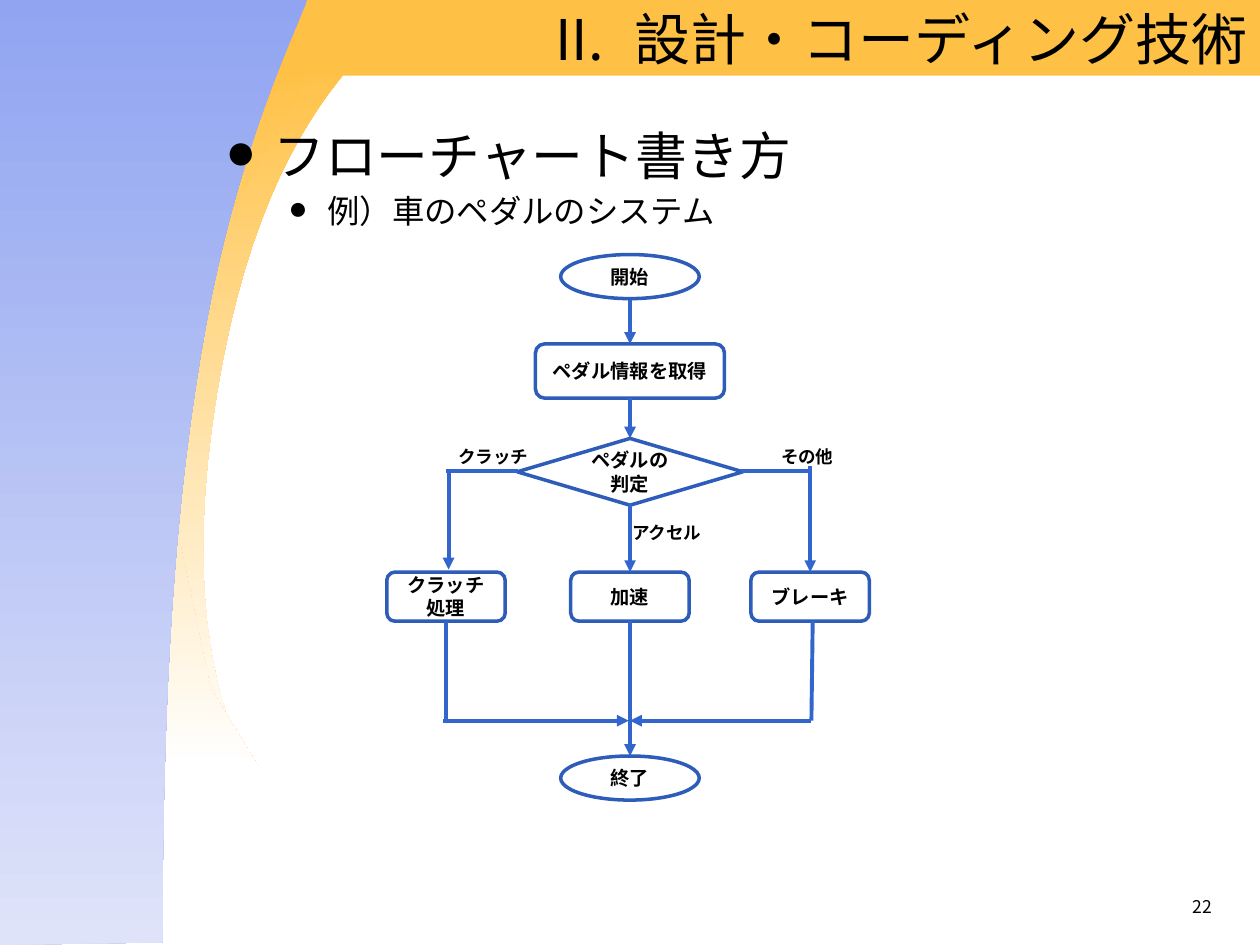
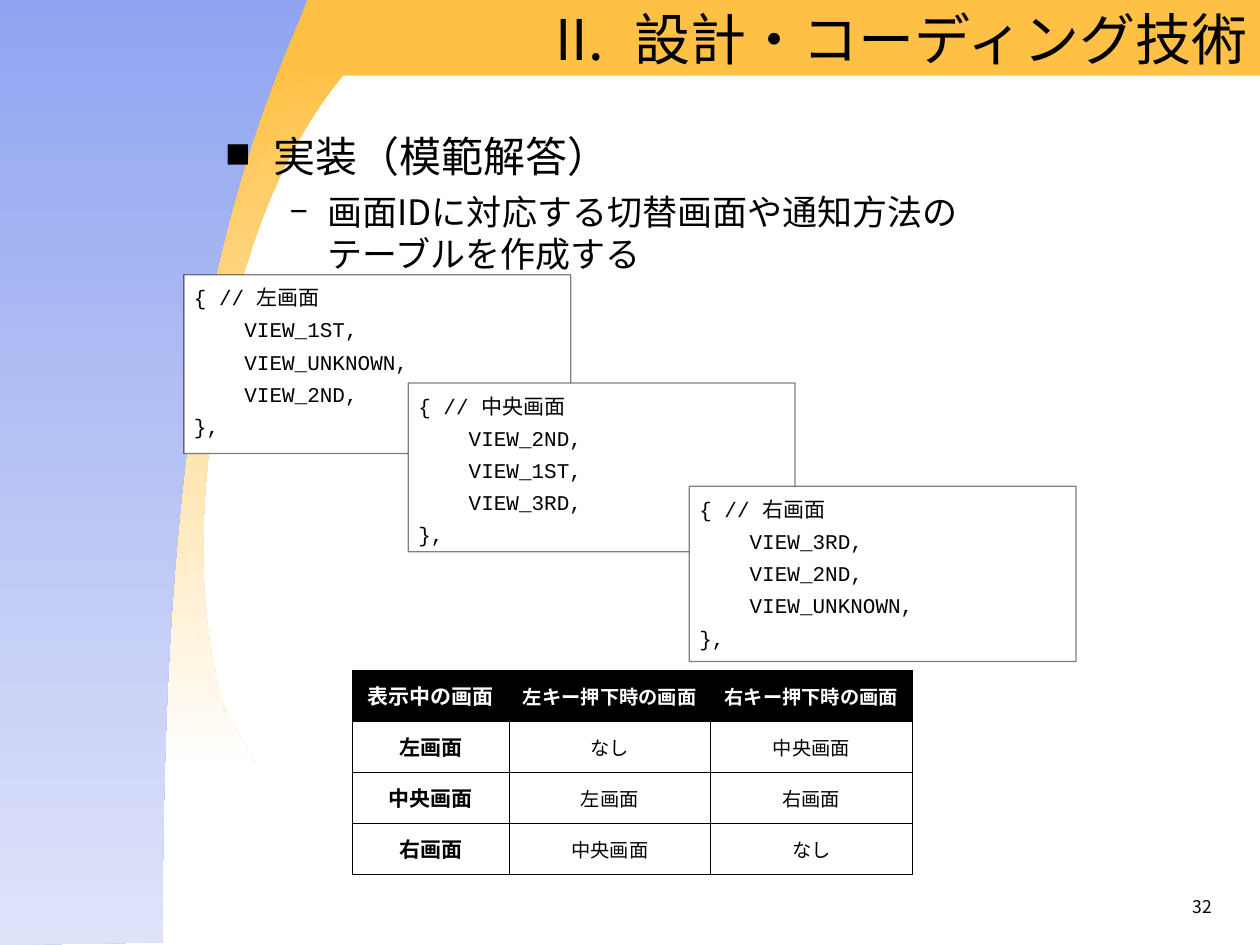
"""Builds two lecture slides: a flowchart and a model answer with code and a table."""
from lxml.etree import SubElement as Sub
from pptx import Presentation
from pptx.dml.color import RGBColor as RGB
from pptx.enum.shapes import MSO_CONNECTOR as LINK, MSO_SHAPE as SHAPE
from pptx.enum.text import MSO_ANCHOR as ANCHOR, PP_ALIGN as ALIGN
from pptx.oxml import parse_xml
from pptx.oxml.ns import nsdecls, qn
from pptx.util import Inches, Pt

HEX = {"ink": "000000", "paper": "FFFFFF", "gold": "FFC145", "blue": "90A4F1",
       "pale": "DFE3F9", "edge": "2D5CB9", "flow": "3366CC"}
SANS, MONO = "Noto Sans CJK JP", "Courier New"
TITLE = "設計・コーディング技術"

CRESCENT = ((2.86, 0.44), [
    (2.44, 0.89, 1.96, 1.65, 1.72, 3.13), (1.48, 4.61, 1.68, 5.48, 1.94, 6.04),
    (1.19, 5.91, 0.79, 4.55, 1.04, 3.02), (1.29, 1.48, 2.11, 0.32, 2.86, 0.44)])
WEDGE = ((2.05, 6.08), [(0, 6.08), (0, 0.5), (2.5, 0.5), (1.51, 2.24),
                        (1.36, 3.98), (1.67, 5.46)])
SIDE = ((2.44, 0), [
    (2.31, 0.33, 1.94, 1.09, 1.68, 2.35), (1.43, 3.61, 1.29, 5.1, 1.29, 7.48),
    (0, 7.5), (0, -0.03)])

DOT = {"mark": "●", "line_spacing": 0.9}
HEADS = {
    "flow": ((1.69, 0.99, 6.61, 1.03), [
        ("フローチャート書き方", 29.6, {**DOT, "space_before": Pt(8)}),
        ("例）車のペダルのシステム", 18.5, {**DOT, "level": 1, "space_before": Pt(5)})]),
    "code": ((1.69, 0.99, 6.22, 1.34), [
        ("実装（模範解答）", 24, {"mark": "■", "space_before": Pt(6)}),
        ("画面IDに対応する切替画面や通知方法の\nテーブルを作成する", 20,
         {"mark": "–", "level": 1, "space_before": Pt(5)})]),
}
INDENT = [(0.38, -0.38), (0.81, -0.31)]

MID = 5
KINDS = {"end": (SHAPE.FLOWCHART_CONNECTOR, 1.1, 0.35),
         "step": (SHAPE.FLOWCHART_ALTERNATE_PROCESS, 1.5, 0.43),
         "test": (SHAPE.FLOWCHART_DECISION, 1.79, 0.53),
         "task": (SHAPE.FLOWCHART_ALTERNATE_PROCESS, 0.94, 0.39)}
NODES = [("開始", "end", MID, 2.02), ("ペダル情報を取得", "step", MID, 2.73),
         ("ペダルの判定", "test", MID, 3.48), ("クラッチ処理", "task", 3.54, 4.54),
         ("加速", "task", MID, 4.54), ("ブレーキ", "task", 6.43, 4.54),
         ("終了", "end", MID, 6)]
ARROWS = [(MID, 2.38, MID, 2.73), (MID, 3.16, MID, 3.48), (3.56, 3.74, 3.56, 4.52),
          (MID, 4, MID, 4.54), (6.43, 3.7, 6.43, 4.54), (MID, 4.93, MID, 6),
          (6.44, 5.72, MID, 5.72), (3.52, 5.72, 4.99, 5.72)]
LINES = [(3.54, 3.74, 4.11, 3.74), (5.88, 3.74, 6.44, 3.74),
         (3.54, 4.93, 3.54, 5.72), (6.45, 4.93, 6.44, 5.72)]
LABELS = [("クラッチ", 3.54, 3.49), ("アクセル", 4.92, 4.09), ("その他", 6.1, 3.49)]

CODES = [("左画面", ["VIEW_1ST", "VIEW_UNKNOWN", "VIEW_2ND"], 1.46, 2.18, 1.42),
         ("中央画面", ["VIEW_2ND", "VIEW_1ST", "VIEW_3RD"], 3.24, 3.04, 1.34),
         ("右画面", ["VIEW_3RD", "VIEW_2ND", "VIEW_UNKNOWN"], 5.47, 3.86, 1.39)]
ROWS = [("表示中の画面", "左キー押下時の画面", "右キー押下時の画面"),
        ("左画面", "なし", "中央画面"),
        ("中央画面", "左画面", "右画面"),
        ("右画面", "中央画面", "なし")]
COLS = [1.24, 1.6, 1.6]


def tint(name):
    return RGB.from_string(HEX[name])


def inch(nums):
    return [Inches(n) for n in nums]


def style(obj, fmt):
    for key, val in fmt.items():
        setattr(obj, key, val)


def indent(para, left, first=0):
    props = para._p.get_or_add_pPr()
    props.set("marL", str(Inches(left)))
    props.set("indent", str(Inches(first)))
    return props


def bullet(para, mark, left, first):
    props = indent(para, left, first)
    Sub(props, qn("a:buFont")).set("typeface", MONO)
    Sub(props, qn("a:buChar")).set("char", mark)


def write(frame, paras, face=SANS, color="ink", bold=False, **common):
    """Fills a text frame with (text, size, paragraph format) entries."""
    for i, (text, size, fmt) in enumerate(paras):
        para = frame.paragraphs[0] if i == 0 else frame.add_paragraph()
        para.text = text
        fmt = {**common, **fmt}
        mark = fmt.pop("mark", None)
        style(para, fmt)
        if mark:
            bullet(para, mark, *INDENT[para.level])
        for run in para.runs:
            style(run.font, {"name": face, "size": Pt(size), "bold": bold})
            run.font.color.rgb = tint(color)
            Sub(run._r.get_or_add_rPr(), qn("a:ea")).set("typeface", SANS)


def label(slide, at, paras, anchor=ANCHOR.TOP, **fmt):
    frame = slide.shapes.add_textbox(*inch(at)).text_frame
    style(frame, {"word_wrap": True, "vertical_anchor": anchor})
    write(frame, paras, **fmt)
    return frame


def block(slide, kind, at, fill, line=None, width=1):
    shape = slide.shapes.add_shape(kind, *inch(at))
    shape.shadow.inherit = False
    shape.fill.solid()
    shape.fill.fore_color.rgb = tint(fill)
    if line:
        shape.line.color.rgb = tint(line)
        shape.line.width = Pt(width)
    else:
        shape.line.fill.background()
    return shape


def curve(start, parts, steps=16):
    """Returns the points of an outline of straight and cubic parts."""
    spots = [start]
    for part in parts:
        if len(part) == 2:
            spots.append(part)
            continue
        nodes = [spots[-1], part[:2], part[2:4], part[4:]]
        for i in range(1, steps + 1):
            t = i / steps
            mix = ((1 - t) ** 3, 3 * t * (1 - t) ** 2, 3 * t * t * (1 - t), t ** 3)
            spots.append(tuple(sum(m * n[k] for m, n in zip(mix, nodes))
                               for k in (0, 1)))
    return spots


def swoop(slide, outline, top, foot):
    spots = [inch(p) for p in curve(*outline)]
    pen = slide.shapes.build_freeform(*spots[0], scale=1.0)
    pen.add_line_segments(spots[1:], close=True)
    shape = pen.convert_to_shape()
    shape.shadow.inherit = False
    shape.line.fill.background()
    shape.fill.gradient()
    shape.fill.gradient_angle = 270
    for stop, name, place in zip(shape.fill.gradient_stops, (top, foot), (0, 1)):
        stop.color.rgb = tint(name)
        stop.position = place


def base(deck, head, number):
    """Adds a slide with the shared backdrop, title, heading and page number."""
    slide = deck.slides.add_slide(deck.slide_layouts[6])
    swoop(slide, CRESCENT, "gold", "paper")
    swoop(slide, WEDGE, "gold", "paper")
    block(slide, SHAPE.RECTANGLE, (0, -0.01, 10, 0.61), "gold")
    swoop(slide, SIDE, "blue", "pale")
    frame = label(slide, (2.32, 0, 7.68, 0.6), [(TITLE, 32, {})],
                  ANCHOR.MIDDLE, alignment=ALIGN.RIGHT)
    auto = Sub(indent(frame.paragraphs[0], 0.63, -0.63), qn("a:buAutoNum"))
    auto.set("type", "romanUcPeriod")
    auto.set("startAt", "2")
    label(slide, *HEADS[head])
    label(slide, (7.39, 7.06, 2.33, 0.29), [(number, 10, {})], alignment=ALIGN.RIGHT)
    return slide


def link(slide, ends, arrow):
    wire = slide.shapes.add_connector(LINK.STRAIGHT, *inch(ends))
    wire.line.color.rgb = tint("flow")
    wire.line.width = Pt(2.25)
    props = wire._element.spPr
    if arrow:
        Sub(props.find(qn("a:ln")), qn("a:tailEnd")).set("type", "triangle")
    Sub(props, qn("a:effectLst"))


def chart(slide):
    for text, kind, mid, top in NODES:
        form, wide, high = KINDS[kind]
        node = block(slide, form, (mid - wide / 2, top, wide, high), "paper", "edge", 2)
        style(node.text_frame, {"word_wrap": True, "vertical_anchor": ANCHOR.MIDDLE})
        write(node.text_frame, [(text, 11, {})], bold=True, alignment=ALIGN.CENTER)
    for arrow, group in ((True, ARROWS), (False, LINES)):
        for ends in group:
            link(slide, ends, arrow)
    for text, left, top in LABELS:
        label(slide, (left, top, 0.95, 0.27), [(text, 10, {})], bold=True)


def border(cell):
    props = cell._tc.get_or_add_tcPr()
    for i, side in enumerate("LRTB"):
        props.insert(i, parse_xml(
            f'<a:ln{side} {nsdecls("a")} w="{Pt(0.45)}"><a:solidFill>'
            f'<a:srgbClr val="{HEX["ink"]}"/></a:solidFill></a:ln{side}>'))


def grid(slide):
    at = inch((2.8, 5.32, sum(COLS), 1.62))
    table = slide.shapes.add_table(len(ROWS), len(COLS), *at).table
    style(table, {"first_row": False, "horz_banding": False})
    for col, wide in zip(table.columns, COLS):
        col.width = Inches(wide)
    for r, row in enumerate(ROWS):
        for c, text in enumerate(row):
            cell = table.cell(r, c)
            cell.vertical_anchor = ANCHOR.MIDDLE
            if r == 0:
                cell.fill.solid()
                cell.fill.fore_color.rgb = tint("ink")
            else:
                cell.fill.background()
            border(cell)
            write(cell.text_frame, [(text, 11 if c else 12, {})],
                  color="ink" if r else "paper", bold=r == 0 or c == 0,
                  alignment=ALIGN.CENTER)


def code(slide, name, views, left, top, high):
    box = block(slide, SHAPE.RECTANGLE, (left, top, 3.07, high), "paper", "ink", 0.75)
    shade = box._element.spPr.find(qn("a:ln")).find(".//" + qn("a:srgbClr"))
    Sub(shade, qn("a:alpha")).set("val", "50000")
    frame = box.text_frame
    style(frame, {"word_wrap": True, "vertical_anchor": ANCHOR.TOP})
    style(frame, {f"margin_{s}": Inches(0.08) for s in ("left", "right", "top", "bottom")})
    lines = ["{ // " + name, *(v + "," for v in views), "},"]
    write(frame, [(text, 12, {}) for text in lines], face=MONO,
          alignment=ALIGN.LEFT, space_before=Pt(4))
    for para in frame.paragraphs[1:-1]:
        indent(para, 0.4)


def main():
    deck = Presentation()
    style(deck, {"slide_width": Inches(10), "slide_height": Inches(7.5)})
    chart(base(deck, "flow", "22"))
    slide = base(deck, "code", "32")
    grid(slide)
    for item in CODES:
        code(slide, *item)
    deck.save("out.pptx")


if __name__ == "__main__":
    main()
